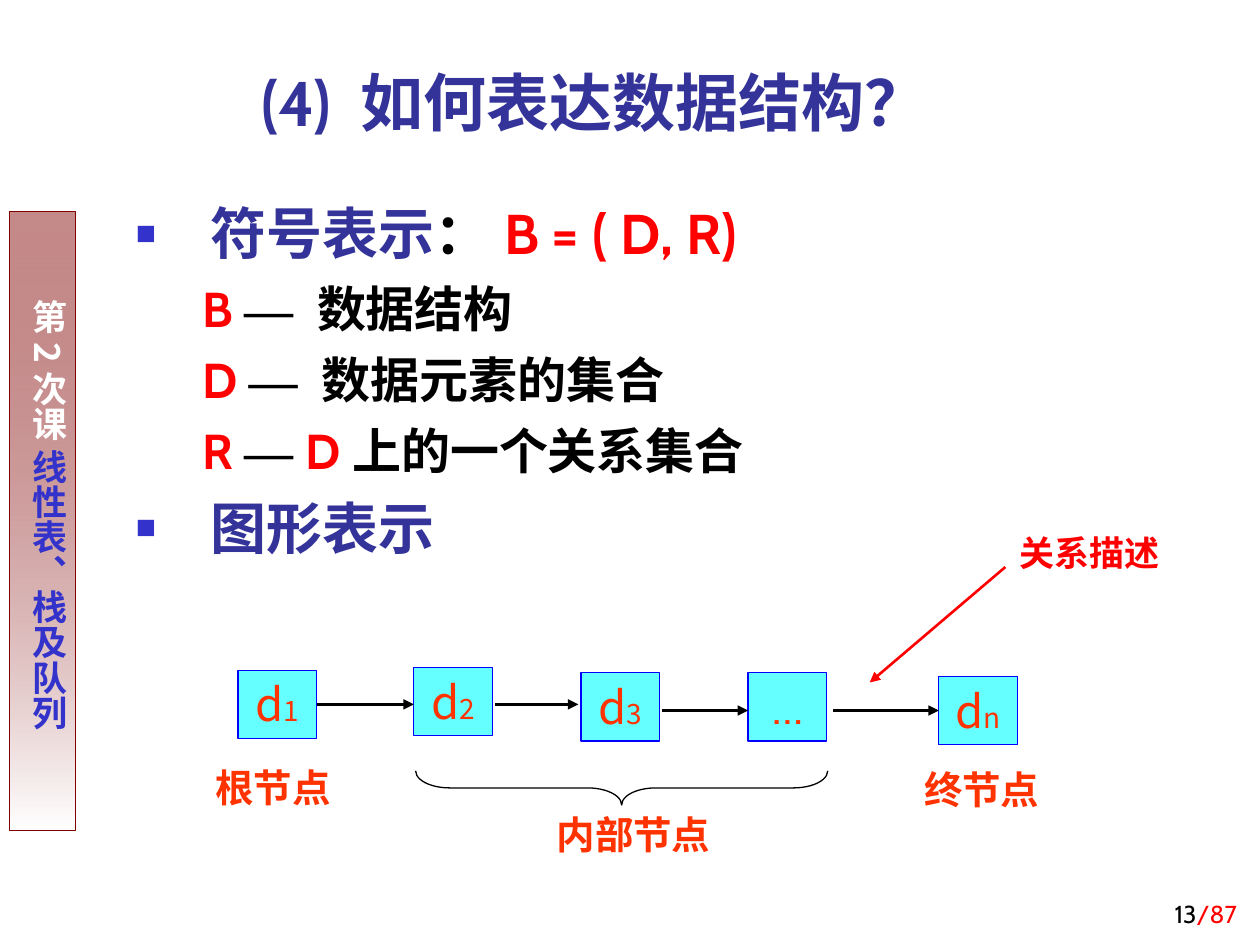
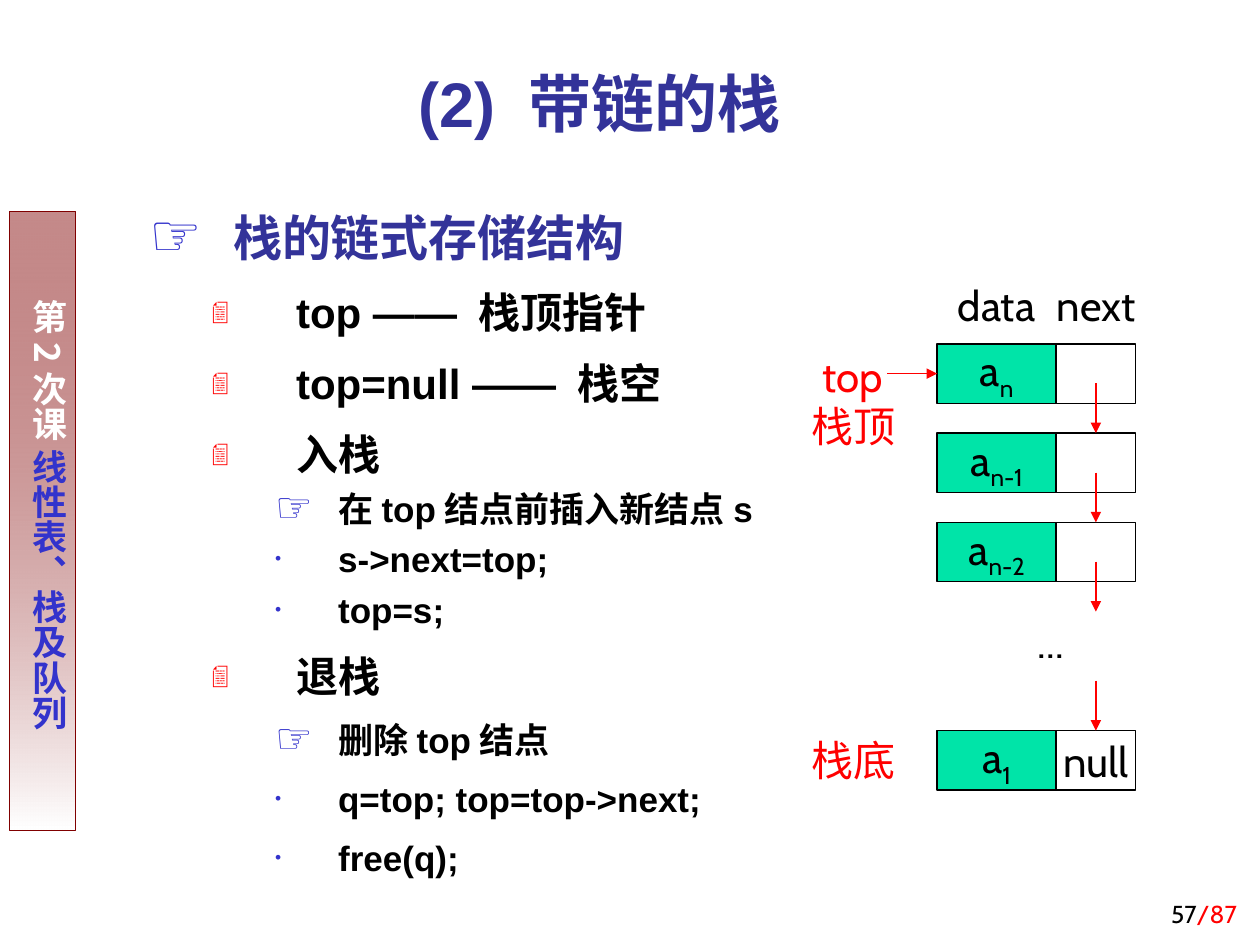
"""Build two lecture slides on data structures and linked stacks."""
from lxml.etree import SubElement
from pptx import Presentation
from pptx.dml.color import RGBColor
from pptx.enum.shapes import MSO_CONNECTOR as Connector, MSO_SHAPE as Preset
from pptx.enum.text import MSO_ANCHOR as Anchor, MSO_AUTO_SIZE as AutoSize, PP_ALIGN as Align
from pptx.oxml.ns import qn
from pptx.util import Pt

NAVY, BLUE, RED, ORANGE = "333399", "3333CC", "FF0000", "FF3300"
BLACK, WHITE, MAROON = "000000", "FFFFFF", "800000"
CYAN, GREEN, NODE_EDGE = "66FFFF", "00E4A8", "0000FF"
CJK, LATIN = "Noto Sans CJK SC", "Cabin"

SQUARE = ("■", BLUE, 60)
HAND = ("☞", BLUE, 120)
PAGE = ("📄", RED, 55)
DOT = ("•", BLUE, 50)


def rgb(color):
    return RGBColor.from_string(color)


def assign(target, values):
    for name, value in values.items():
        setattr(target, name, value)


def add_run(paragraph, text, color, size, bold=False, font=LATIN, baseline=0):
    run = paragraph.add_run()
    run.text = text
    assign(run.font, {"size": Pt(size), "bold": bold, "name": font})
    run.font.color.rgb = rgb(color)
    properties = run.font._element
    SubElement(properties, qn("a:ea")).set("typeface", CJK)
    if baseline:
        properties.set("baseline", str(baseline * 1000))


def format_frame(frame, anchor=Anchor.TOP, wrap=True):
    assign(frame, {"auto_size": AutoSize.NONE, "word_wrap": wrap, "vertical_anchor": anchor})


def next_paragraph(frame):
    first = frame.paragraphs[0]
    return first if not first.runs else frame.add_paragraph()


def write_line(frame, runs, align=Align.LEFT):
    paragraph = next_paragraph(frame)
    assign(paragraph, {"alignment": align, "space_before": Pt(0)})
    for run in runs:
        add_run(paragraph, **run)


def write_item(frame, runs, bullet, margin, hang, before, level=0, leading=1.0):
    paragraph = next_paragraph(frame)
    before = before if paragraph is not frame.paragraphs[0] and frame.paragraphs[0].runs else 0
    assign(paragraph, {"level": level, "line_spacing": leading, "space_before": Pt(before)})
    properties = paragraph._p.get_or_add_pPr()
    properties.set("marL", str(Pt(margin)))
    properties.set("indent", str(-Pt(hang)))
    if bullet:
        symbol, color, percent = bullet
        tint = SubElement(properties, qn("a:buClr"))
        SubElement(tint, qn("a:srgbClr")).set("val", color)
        SubElement(properties, qn("a:buSzPct")).set("val", str(percent * 1000))
        SubElement(properties, qn("a:buFont")).set("typeface", "Arial")
        SubElement(properties, qn("a:buChar")).set("char", symbol)
    else:
        SubElement(properties, qn("a:buNone"))
    for run in runs:
        add_run(paragraph, **run)


def place(shape, box):
    assign(shape, dict(zip(("left", "top", "width", "height"), map(Pt, box))))


def add_label(slide, box, lines, align=Align.LEFT, anchor=Anchor.TOP, wrap=False):
    frame = slide.shapes.add_textbox(*map(Pt, box)).text_frame
    format_frame(frame, anchor, wrap)
    for runs in lines:
        write_line(frame, runs, align)


def add_preset(slide, preset, box, fill, edge):
    shape = slide.shapes.add_shape(preset, *map(Pt, box))
    shape.shadow.inherit = False
    if fill:
        shape.fill.solid()
        shape.fill.fore_color.rgb = rgb(fill)
    else:
        shape.fill.background()
    shape.line.color.rgb = rgb(edge)
    shape.line.width = Pt(0.75)
    return shape


def add_cell(slide, box, fill, edge, runs=(), anchor=Anchor.MIDDLE):
    cell = add_preset(slide, Preset.RECTANGLE, box, fill, edge)
    format_frame(cell.text_frame, anchor, wrap=False)
    write_line(cell.text_frame, runs, Align.CENTER)
    return cell


def add_arrow(slide, start, end, color, width, source=None, target=None):
    arrow = slide.shapes.add_connector(Connector.STRAIGHT, *map(Pt, (*start, *end)))
    arrow.line.color.rgb = rgb(color)
    arrow.line.width = Pt(width)
    SubElement(arrow.line._get_or_add_ln(), qn("a:tailEnd")).set("type", "triangle")
    SubElement(arrow._element.spPr, qn("a:effectLst"))
    if source:
        arrow.begin_connect(*source)
    if target:
        arrow.end_connect(*target)


def add_sidebar(slide):
    band = add_preset(slide, Preset.RECTANGLE, (5.3, 121, 38, 353.5), WHITE, MAROON)
    band.fill.gradient()
    band.fill.gradient_angle = 270
    for stop, color, position in zip(band.fill.gradient_stops, (MAROON, WHITE), (0, 1)):
        stop.color.rgb = rgb(color)
        stop.position = position
    tint = next(band._element.spPr.iter(qn("a:srgbClr")))
    SubElement(tint, qn("a:alpha")).set("val", "46000")
    frame = band.text_frame
    format_frame(frame)
    assign(frame, {"margin_left": Pt(3.6), "margin_right": Pt(3.6),
                   "margin_top": Pt(50), "margin_bottom": Pt(7.2)})
    frame._txBody.bodyPr.set("vert", "eaVert")
    style = {"size": 20, "bold": True, "font": CJK}
    write_line(frame, [{"text": "第2次课 ", "color": WHITE, **style},
                       {"text": "线性表、栈及队列", "color": BLUE, **style}])


def start_slide(deck, title, title_box, title_font, body_box, number):
    slide = deck.slides.add_slide(deck.slide_layouts[1])
    add_sidebar(slide)
    heading, body = slide.placeholders
    place(heading, title_box)
    place(body, body_box)
    format_frame(heading.text_frame, Anchor.BOTTOM)
    format_frame(body.text_frame)
    write_line(heading.text_frame, [{"text": title, "color": NAVY, "size": 36,
                                     "bold": True, "font": title_font}], Align.CENTER)
    add_label(slide, (564, 498, 150, 36),
              [[{"text": number, "color": BLACK, "size": 14},
                {"text": "/87", "color": RED, "size": 14}]],
              Align.RIGHT, Anchor.BOTTOM, wrap=True)
    return slide, body.text_frame


def write_notation(frame):
    big = {"size": 32, "bold": True}
    small = {"size": 28, "bold": True}
    heading = {"bullet": SQUARE, "margin": 42.5, "hang": 42.5, "before": 8}
    write_item(frame, [{"text": "符号表示", "color": NAVY, **big},
                       {"text": "：", "color": BLACK, **big},
                       {"text": "B = ( D, R)", "color": RED, **big}], **heading)
    definitions = [("B ", "", "数据结构"), ("D ", "", "数据元素的集合"),
                   ("R ", "D", "上的一个关系集合")]
    for symbol, operand, meaning in definitions:
        runs = [{"text": symbol, "color": RED, **small},
                {"text": "— ", "color": BLACK, "font": "Times New Roman", **small}]
        if operand:
            runs.append({"text": operand, "color": RED, **small})
        runs.append({"text": meaning, "color": BLACK, **small})
        write_item(frame, runs, None, margin=38, hang=0, before=7)
    write_item(frame, [{"text": "图形表示", "color": NAVY, **big}], **heading)


def draw_chain(slide):
    node_places = [("1", 136, 383), ("2", 236.5, 381.5), ("3", 332, 384.5),
                   ("", 427.5, 384.5), ("n", 536.5, 386.5)]
    nodes = []
    for index, left, top in node_places:
        style = {"color": ORANGE, "font": CJK}
        runs = [{"text": "d", "size": 26, **style}, {"text": index, "size": 16, **style}]
        if not index:
            runs = [{"text": "…", "size": 26, "color": ORANGE}]
        nodes.append(add_cell(slide, (left, top, 45, 39), CYAN, NODE_EDGE, runs, Anchor.TOP))
    relations = [(181, 236.5, 402.5, (nodes[0], 3), None), (283, 330.5, 402.5, None, None),
                 (378.5, 427.5, 406, None, None), (476, 536.5, 406, None, (nodes[-1], 1))]
    for start_x, end_x, y, source, target in relations:
        add_arrow(slide, (start_x, y), (end_x, y), BLACK, 1.5, source, target)

    role_boxes = {"根节点": (110, 433, 92, 34), "内部节点": (296.5, 460, 131, 34),
                  "终节点": (515, 434, 92, 34)}
    for role, box in role_boxes.items():
        add_label(slide, box, [[{"text": role, "color": ORANGE, "size": 22, "bold": True}]],
                  Align.CENTER, wrap=True)
    inner_brace = add_preset(slide, Preset.RIGHT_BRACE, (345.5, 332.5, 19.5, 235.5), None, BLACK)
    inner_brace.rotation = 90
    inner_brace.adjustments[0] = 1.0

    add_label(slide, (575.5, 300, 94, 32),
              [[{"text": "关系描述", "color": RED, "size": 20, "bold": True}]])
    add_arrow(slide, (574.5, 324), (497, 390), RED, 1.5)


def write_operations(frame):
    top_level = {"margin": 48, "hang": 48, "before": 7}
    operation = {"level": 1, "margin": 84, "hang": 48, "before": 6}
    push_step = {"level": 2, "margin": 108, "hang": 36, "before": 0}
    pop_step = {**push_step, "before": 5}
    items = [("栈的链式存储结构", HAND, NAVY, 28, top_level),
             ("top —— 栈顶指针", PAGE, BLACK, 24, operation),
             ("top=null —— 栈空", PAGE, BLACK, 24, operation),
             ("入栈", PAGE, BLACK, 24, operation),
             ("在top结点前插入新结点s", HAND, BLACK, 20, push_step),
             ("s->next=top;", DOT, BLACK, 20, push_step),
             ("top=s;", DOT, BLACK, 20, push_step),
             ("退栈", PAGE, BLACK, 24, operation),
             ("删除top结点", HAND, BLACK, 20, pop_step),
             ("q=top; top=top->next;", DOT, BLACK, 20, pop_step),
             ("free(q);", DOT, BLACK, 20, pop_step)]
    for text, bullet, color, size, layout in items:
        run = {"text": text, "color": color, "size": size, "bold": True, "font": "Arial"}
        write_item(frame, [run], bullet, leading=1.2, **layout)


def draw_stack(slide):
    data_left, data_width, next_width, height = 535.5, 68, 45.5, 34
    next_left = data_left + data_width
    link_x = next_left + next_width / 2
    first_top, pitch, bottom_top = 196.5, 51, 417.5
    black = {"color": BLACK, "size": 24}
    red = {"color": RED, "size": 24}

    for field, left, width in (("data", data_left, data_width), ("next", next_left, next_width)):
        add_label(slide, (left, 157, width, height), [[{"text": field, **black}]],
                  Align.CENTER, Anchor.MIDDLE)

    tops = [first_top + pitch * row for row in range(3)] + [bottom_top]
    data_cells, next_cells = [], []
    for index, top in zip(("n", "n-1", "n-2", "1"), tops):
        element = [{"text": "a", **black}, {"text": index, "baseline": -25, **black}]
        link = [{"text": "null", **black}] if top == bottom_top else []
        data_cells.append(add_cell(slide, (data_left, top, data_width, height),
                                   GREEN, BLACK, element))
        next_cells.append(add_cell(slide, (next_left, top, next_width, height),
                                   WHITE, BLACK, link))

    link_ends = [top + pitch for top in tops[:3]] + [bottom_top]
    link_targets = [(next_cells[1], 0), (next_cells[2], 0), None, (next_cells[3], 0)]
    for end, target in zip(link_ends, link_targets):
        add_arrow(slide, (link_x, end - 28.5), (link_x, end), RED, 0.75, target=target)

    add_label(slide, (586, 349, 34, 36), [[{"text": "...", **black}]])
    add_label(slide, (456.5, 416, 62, 36), [[{"text": "栈底", **red}]])
    add_label(slide, (456.5, 196.5, 62, 65),
              [[{"text": "top", **red}], [{"text": "栈顶", **red}]], Align.CENTER)
    top_middle = first_top + height / 2
    add_arrow(slide, (507, top_middle), (data_left, top_middle), RED, 0.75,
              target=(data_cells[0], 1))


def main():
    deck = Presentation()
    assign(deck, {"slide_width": Pt(720), "slide_height": Pt(540)})

    slide, body = start_slide(deck, "(4) 如何表达数据结构？", (121.5, 26, 436.5, 57), LATIN,
                              (70.5, 110, 595.5, 381), "13")
    write_notation(body)
    draw_chain(slide)

    slide, body = start_slide(deck, "(2) 带链的栈", (116, 31.5, 453.5, 52), "Arial",
                              (78, 108, 627, 406), "57")
    write_operations(body)
    draw_stack(slide)

    deck.save("out.pptx")


if __name__ == "__main__":
    main()
